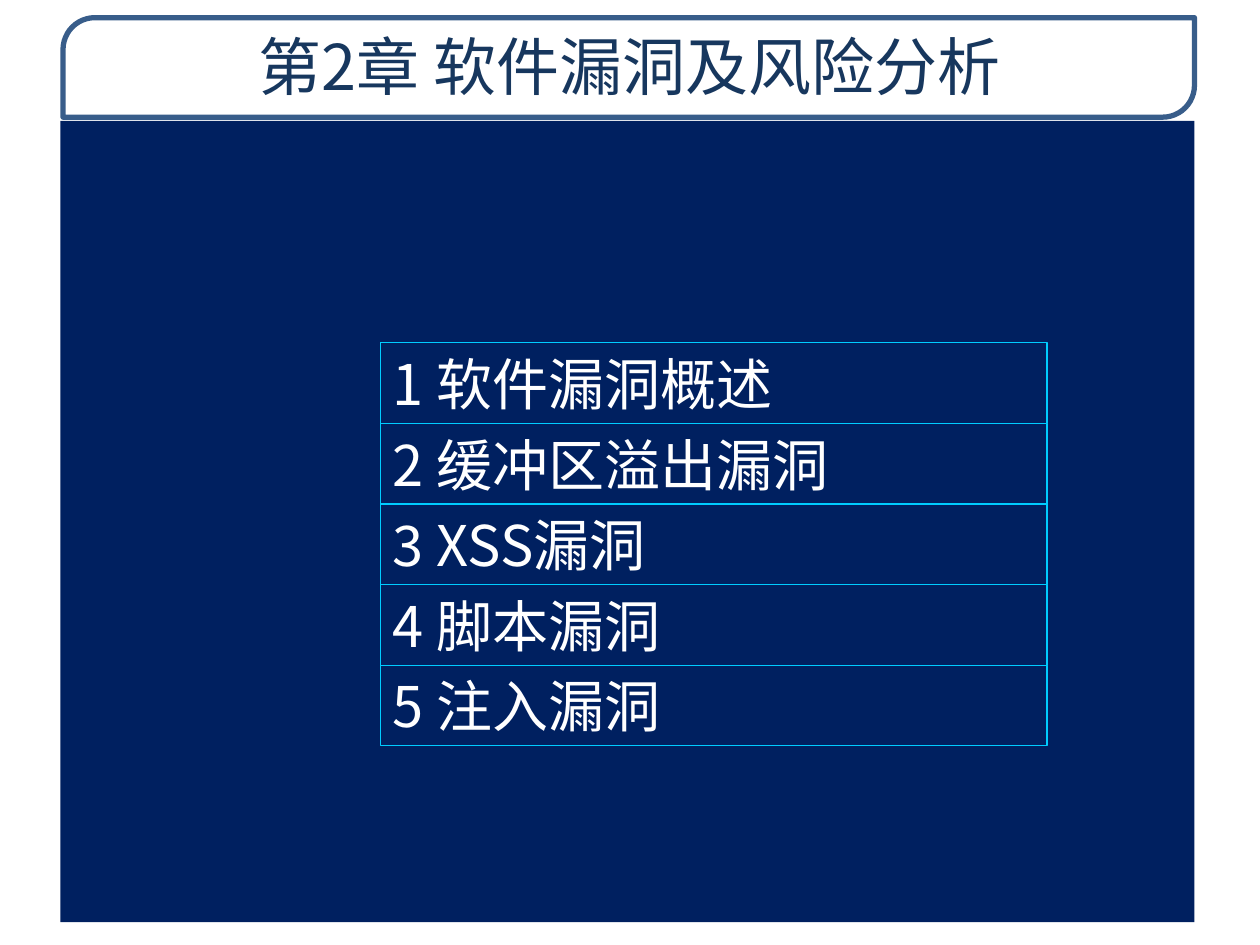
from lxml import etree
from pptx import Presentation
from pptx.dml.color import RGBColor
from pptx.enum import shapes, text
from pptx.oxml.ns import qn
from pptx.util import Inches, Pt

TITLE = "第2章 软件漏洞及风险分析"
SECTIONS = ["1 软件漏洞概述", "2 缓冲区溢出漏洞", "3 XSS漏洞", "4 脚本漏洞", "5 注入漏洞"]

FONT = "Noto Sans CJK SC"
NAVY, WHITE, CYAN = "002060", "FFFFFF", "00CCFF"
FRAME_BLUE, TITLE_BLUE = "385D8A", "17375E"
LIST_LEFT, LIST_TOP, LIST_WIDTH, ROW_HEIGHT = 3.02, 2.72, 5.29, 0.64


def colour(value):
    return RGBColor.from_string(value)


def add_box(slide, kind, box, fill, line=None, line_width=0.75):
    shape = slide.shapes.add_shape(kind, *map(Inches, box))
    shape.shadow.inherit = False
    shape.fill.solid()
    shape.fill.fore_color.rgb = colour(fill)
    if line:
        shape.line.color.rgb = colour(line)
        shape.line.width = Pt(line_width)
    else:
        shape.line.fill.background()
    return shape


def write(shape, words, size, ink, alignment):
    frame = shape.text_frame
    frame_format = {
        "word_wrap": True,
        "auto_size": text.MSO_AUTO_SIZE.NONE,
        "vertical_anchor": text.MSO_ANCHOR.MIDDLE,
    }
    for name, value in frame_format.items():
        setattr(frame, name, value)
    paragraph = frame.paragraphs[0]
    paragraph.alignment = alignment
    run = paragraph.add_run()
    run.text = words
    run.font.size = Pt(size)
    run.font.name = FONT
    run.font.color.rgb = colour(ink)
    east_asian = etree.SubElement(run.font._element, qn("a:ea"))
    east_asian.set("typeface", FONT)


def main():
    presentation = Presentation()
    presentation.slide_width, presentation.slide_height = Inches(10), Inches(7.5)
    slide = presentation.slides.add_slide(presentation.slide_layouts[5])
    rectangle = shapes.MSO_SHAPE.RECTANGLE

    title_frame = add_box(slide, shapes.MSO_SHAPE.ROUND_2_DIAG_RECTANGLE,
                          (0.5, 0.14, 8.98, 0.79), WHITE, FRAME_BLUE, 3)
    title_frame.adjustments[0] = 0.32

    title = slide.shapes.title
    title_frame._element.addnext(title._element)  # title in front of its frame
    title.left, title.top, title.width, title.height = map(Inches, (0.51, 0.14, 8.97, 0.76))
    write(title, TITLE, 36, TITLE_BLUE, text.PP_ALIGN.CENTER)

    add_box(slide, rectangle, (0.48, 0.96, 9, 6.36), NAVY)
    for row, section in enumerate(SECTIONS):
        top = LIST_TOP + row * ROW_HEIGHT
        item = add_box(slide, rectangle, (LIST_LEFT, top, LIST_WIDTH, ROW_HEIGHT), NAVY, CYAN)
        write(item, section, 32, WHITE, text.PP_ALIGN.LEFT)

    presentation.save("out.pptx")


if __name__ == "__main__":
    main()
